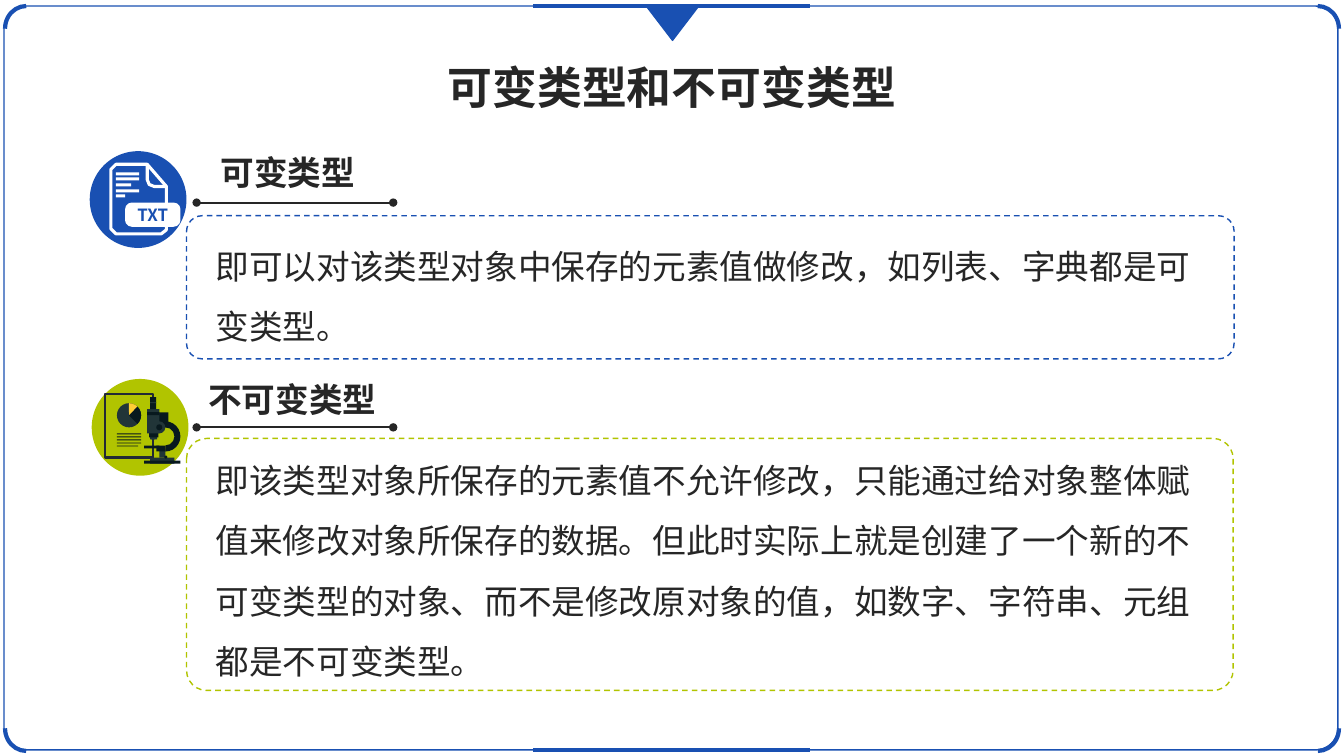
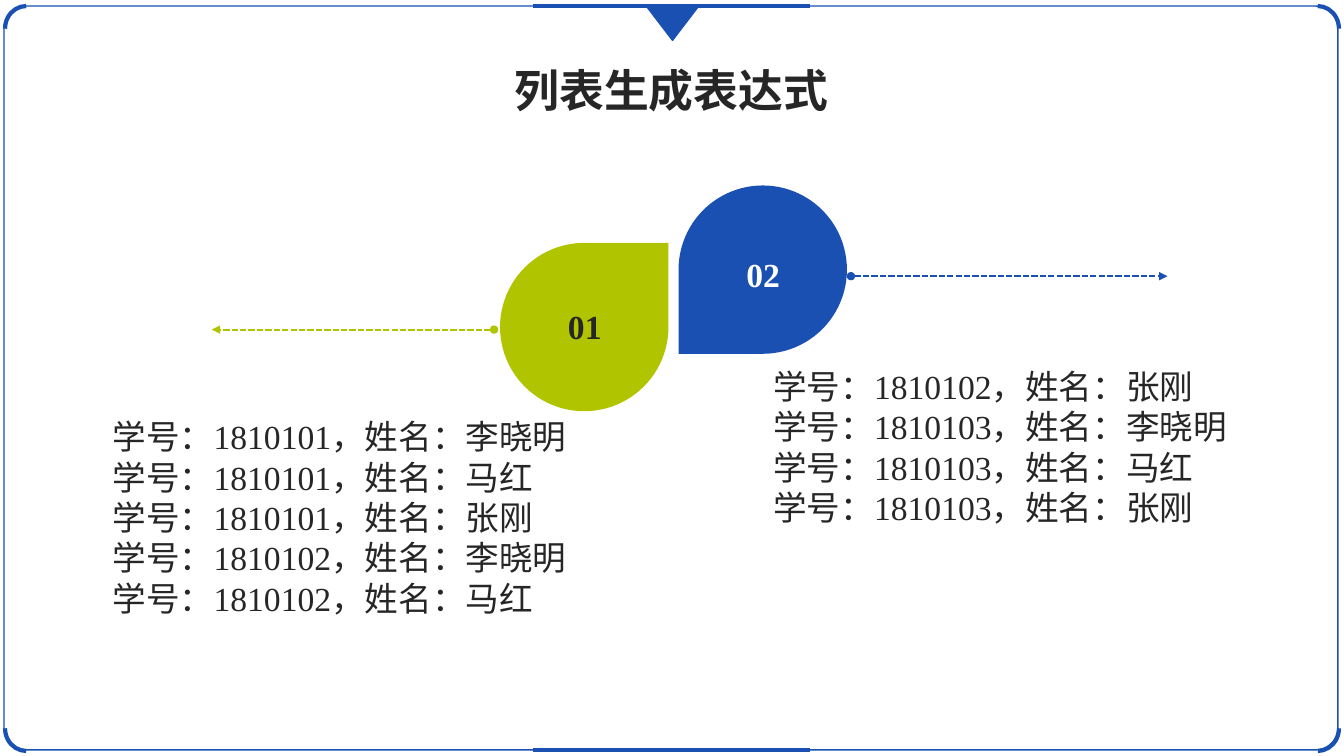
from dataclasses import dataclass
from typing import Optional, Sequence

from pptx import Presentation, util as u
from pptx.dml.color import RGBColor
from pptx.enum import dml, shapes, text
from pptx.oxml import ns
from lxml import etree

EMU_PER_PX = 9144
BLUE = RGBColor(0x19, 0x50, 0xB2)
GREEN = RGBColor(0xB1, 0xC4, 0x00)
INK = RGBColor(0x26, 0x26, 0x26)
WHITE = RGBColor(0xFF, 0xFF, 0xFF)
NAVY = RGBColor(0x22, 0x2A, 0x35)
SLATE = RGBColor(0x21, 0x35, 0x38)
DARK = RGBColor(0x08, 0x19, 0x1E)
YELLOW = RGBColor(0xFF, 0xCE, 0x35)
SANS = "Noto Sans CJK SC"
SERIF = "Times New Roman"
SHAPE = shapes.MSO_SHAPE
DASH = dml.MSO_LINE.DASH
SHORT_DASH = dml.MSO_LINE.SQUARE_DOT
LEFT, CENTER = text.PP_ALIGN.LEFT, text.PP_ALIGN.CENTER


@dataclass(frozen=True)
class Box:
    left: int
    top: int
    width: int
    height: int


@dataclass(frozen=True)
class Style:
    size: int = 24
    font: str = SANS
    color: RGBColor = INK
    bold: bool = False
    align: text.PP_ALIGN = LEFT
    spacing: float = 1.0


@dataclass(frozen=True)
class Topic:
    name: str
    name_box: Box
    rule_y: int
    outline: Box
    corner: float
    body: str
    body_box: Box
    body_style: Style
    color: RGBColor
    badge: Box


@dataclass(frozen=True)
class Drop:
    number: str
    box: Box
    rotation: int
    label_box: Box
    label_color: RGBColor
    color: RGBColor
    arrow: tuple[int, int, int]
    records: Sequence[tuple[str, str]]
    records_box: Box


TITLE = Style(32, bold=True, align=CENTER)
HEADING = Style(bold=True, align=CENTER)
SERIF_BODY = Style(font=SERIF)

TOPICS = (
    Topic("可变类型", Box(208, 146, 155, 50), 201, Box(185, 214, 1039, 142), 0.11,
          "即可以对该类型对象中保存的元素值做修改，如列表、字典都是可变类型。",
          Box(204, 219, 996, 124), Style(font=SERIF, spacing=1.5), BLUE,
          Box(89, 150, 96, 96)),
    Topic("不可变类型", Box(196, 371, 188, 50), 424, Box(185, 435, 1038, 250), 0.08,
          "即该类型对象所保存的元素值不允许修改，只能通过给对象整体赋值来修改对象所保存的数据。"
          "但此时实际上就是创建了一个新的不可变类型的对象、而不是修改原对象的值，"
          "如数字、字符串、元组都是不可变类型。",
          Box(204, 431, 1016, 245), Style(spacing=1.5), GREEN,
          Box(91, 376, 96, 96)),
)

DROPS = (
    Drop("01", Box(496, 241, 167, 167), 0, Box(553, 299, 54, 50), INK, GREEN,
         (490, 210, 327),
         (("1810101", "李晓明"), ("1810101", "马红"), ("1810101", "张刚"),
          ("1810102", "李晓明"), ("1810102", "马红")),
         Box(102, 408, 496, 212)),
    Drop("02", Box(673, 184, 167, 167), 180, Box(730, 247, 54, 50), WHITE, BLUE,
         (844, 1158, 274),
         (("1810102", "张刚"), ("1810103", "李晓明"), ("1810103", "马红"),
          ("1810103", "张刚")),
         Box(757, 358, 498, 172)),
)

MICROSCOPE_PARTS = (
    (SHAPE.RECTANGLE, Box(149, 454, 24, 6), SLATE),
    (SHAPE.RECTANGLE, Box(155, 409, 12, 15), DARK),
    (SHAPE.RECTANGLE, Box(158, 445, 6, 9), SLATE),
    (SHAPE.RECTANGLE, Box(149, 424, 7, 12), SLATE),
    (SHAPE.RECTANGLE, Box(148, 429, 9, 5), DARK),
    (SHAPE.RECTANGLE, Box(146, 406, 12, 24), SLATE),
    (SHAPE.RECTANGLE, Box(149, 394, 6, 12), DARK),
    (SHAPE.OVAL, Box(152, 418, 12, 12), SLATE),
    (SHAPE.RECTANGLE, Box(143, 442, 15, 3), DARK),
    (SHAPE.RECTANGLE, Box(155, 442, 9, 6), DARK),
    (SHAPE.OVAL, Box(155, 421, 6, 6), DARK),
    (SHAPE.RECTANGLE, Box(143, 457, 36, 3), DARK),
    (SHAPE.OVAL, Box(163, 452, 3, 3), DARK),
    (SHAPE.RECTANGLE, Box(149, 399, 6, 1), SLATE),
    (SHAPE.RECTANGLE, Box(146, 409, 12, 3), DARK),
    (SHAPE.RECTANGLE, Box(150, 435, 4, 1), SLATE),
)


def px(length: int) -> u.Emu:
    return u.Emu(length * EMU_PER_PX)


def place(box: Box) -> tuple[u.Emu, ...]:
    return px(box.left), px(box.top), px(box.width), px(box.height)


def angles(start: int, end: int) -> tuple[float, float]:
    return start * 0.6, end * 0.6


def paint(shape, fill: Optional[RGBColor], line: Optional[RGBColor],
          weight: float, dash=None) -> None:
    shape.shadow.inherit = False
    if fill is None:
        shape.fill.background()
    else:
        shape.fill.solid()
        shape.fill.fore_color.rgb = fill
    if line is None:
        shape.line.fill.background()
    else:
        shape.line.color.rgb = line
        shape.line.width = u.Pt(weight)
        if dash is not None:
            shape.line.dash_style = dash


def add_shape(page, kind, box: Box, fill: Optional[RGBColor] = None,
              line: Optional[RGBColor] = None, weight: float = 1, dash=None,
              adjust: Sequence[float] = (), rotation: int = 0):
    shape = page.shapes.add_shape(kind, *place(box))
    paint(shape, fill, line, weight, dash)
    for index, value in enumerate(adjust):
        shape.adjustments[index] = value
    shape.rotation = rotation
    return shape


def add_line(page, start: tuple[int, int], end: tuple[int, int], color: RGBColor,
             weight: float, dash=None, head: str = "none", tail: str = "none") -> None:
    line = page.shapes.add_connector(
        shapes.MSO_CONNECTOR.STRAIGHT, *map(px, (*start, *end)))
    line.line.color.rgb = color
    line.line.width = u.Pt(weight)
    if dash is not None:
        line.line.dash_style = dash
    outline = line.line._get_or_add_ln()
    for tag, kind in (("a:headEnd", head), ("a:tailEnd", tail)):
        etree.SubElement(outline, ns.qn(tag)).set("type", kind)
    etree.SubElement(line._element.spPr, ns.qn("a:effectLst"))


def add_outline(page, points: Sequence[tuple[int, int]], close: bool) -> None:
    builder = page.shapes.build_freeform(*points[0], scale=EMU_PER_PX)
    builder.add_line_segments(points[1:], close=close)
    paint(builder.convert_to_shape(), None, WHITE, 2.25)


def write(frame, lines: Sequence[str], style: Style, wrap: bool = False) -> None:
    frame.word_wrap = wrap
    frame.auto_size = text.MSO_AUTO_SIZE.NONE
    for index, line in enumerate(lines):
        para = frame.add_paragraph() if index else frame.paragraphs[0]
        para.text = line
        para.alignment = style.align
        para.line_spacing = style.spacing
        para.font.size = u.Pt(style.size)
        para.font.bold = style.bold
        para.font.color.rgb = style.color
        para.font.name = style.font
        defaults = para._p.pPr.find(ns.qn("a:defRPr"))
        etree.SubElement(defaults, ns.qn("a:ea")).set("typeface", SANS)


def add_text(page, box: Box, lines: Sequence[str], style: Style,
             wrap: bool = False) -> None:
    write(page.shapes.add_textbox(*place(box)).text_frame, lines, style, wrap)


def add_page(deck, title: str, title_box: Box):
    page = deck.slides.add_slide(deck.slide_layouts[5])
    add_shape(page, SHAPE.ROUNDED_RECTANGLE, Box(4, 6, 1323, 738), line=BLUE,
              adjust=(0.03,))
    for left, top, start in ((5, 6, 180), (1286, 6, 270), (1286, 700, 0), (5, 700, 90)):
        add_shape(page, SHAPE.ARC, Box(left, top, 42, 45), line=BLUE, weight=3,
                  adjust=angles(start, (start + 90) % 360))
    for y in (6, 744):
        add_line(page, (529, y), (803, y), BLUE, 3)
    add_shape(page, SHAPE.ISOSCELES_TRIANGLE, Box(641, 6, 52, 34), BLUE, BLUE,
              rotation=180)
    heading = page.shapes.title
    heading.left, heading.top, heading.width, heading.height = place(title_box)
    write(heading.text_frame, [title], TITLE)
    return page


def draw_text_file(page) -> None:
    add_outline(page, ((115, 163), (146, 163), (165, 185), (165, 228), (160, 232),
                       (115, 232), (110, 227), (110, 168)), True)
    add_outline(page, ((146, 163), (146, 178), (148, 183), (153, 185), (165, 185)), False)
    for top, width in ((171, 23), (176, 23), (182, 15), (188, 23), (193, 9)):
        add_shape(page, SHAPE.RECTANGLE, Box(115, top, width, 3), WHITE)
    tag = add_shape(page, SHAPE.ROUNDED_RECTANGLE, Box(124, 201, 55, 24), WHITE,
                    adjust=(0.28,))
    frame = tag.text_frame
    frame.margin_left = frame.margin_right = frame.margin_top = frame.margin_bottom = 0
    frame.vertical_anchor = text.MSO_ANCHOR.MIDDLE
    write(frame, ["TXT"], Style(12, color=BLUE, bold=True, align=CENTER))


def draw_microscope(page) -> None:
    add_shape(page, SHAPE.RECTANGLE, Box(104, 391, 48, 63), line=NAVY, weight=1.5)
    chart_box = Box(116, 400, 24, 24)
    add_shape(page, SHAPE.OVAL, chart_box, SLATE)
    for start, end, color in ((270, 315, YELLOW), (315, 45, DARK)):
        add_shape(page, SHAPE.PIE, chart_box, color, adjust=angles(start, end))
    for row in range(5):
        width = 21 if row == 4 else 24
        add_shape(page, SHAPE.RECTANGLE, Box(116, 430 + 3 * row, width, 1), DARK)
    for kind, box, color in MICROSCOPE_PARTS:
        add_shape(page, kind, box, color)
    add_shape(page, SHAPE.BLOCK_ARC, Box(149, 418, 30, 30), DARK,
              adjust=(*angles(270, 90), 0.2))


def draw_topic(page, topic: Topic) -> None:
    add_shape(page, SHAPE.OVAL, topic.badge, topic.color)
    add_shape(page, SHAPE.ROUNDED_RECTANGLE, topic.outline, line=topic.color,
              dash=DASH, adjust=(topic.corner,))
    add_text(page, topic.name_box, [topic.name], HEADING)
    add_line(page, (195, topic.rule_y), (390, topic.rule_y), INK, 1.5,
             head="oval", tail="oval")
    add_text(page, topic.body_box, [topic.body], topic.body_style, wrap=True)


def draw_drop(page, drop: Drop) -> None:
    add_shape(page, SHAPE.TEAR, drop.box, drop.color, rotation=drop.rotation)
    add_text(page, drop.label_box, [drop.number],
             Style(font=SERIF, color=drop.label_color, bold=True, align=CENTER))
    start, end, y = drop.arrow
    add_line(page, (start, y), (end, y), drop.color, 1.5, SHORT_DASH, "oval", "triangle")
    lines = [f"学号：{number}，姓名：{name}" for number, name in drop.records]
    add_text(page, drop.records_box, lines, SERIF_BODY, wrap=True)


def main() -> None:
    deck = Presentation()
    deck.slide_width, deck.slide_height = px(1333), px(750)
    page = add_page(deck, "可变类型和不可变类型", Box(432, 54, 469, 64))
    for topic, draw_icon in zip(TOPICS, (draw_text_file, draw_microscope)):
        draw_topic(page, topic)
        draw_icon(page)
    page = add_page(deck, "列表生成表达式", Box(499, 57, 334, 64))
    for drop in DROPS:
        draw_drop(page, drop)
    deck.save("out.pptx")


if __name__ == "__main__":
    main()
